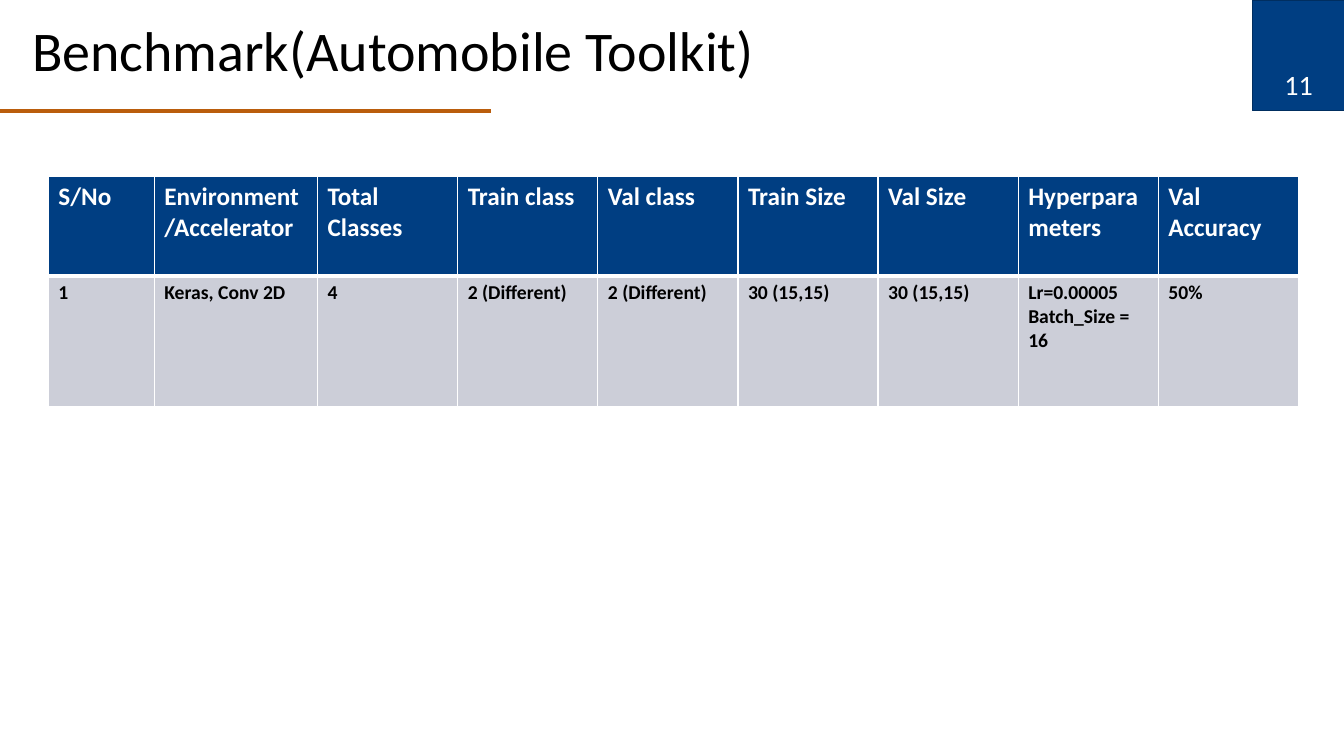
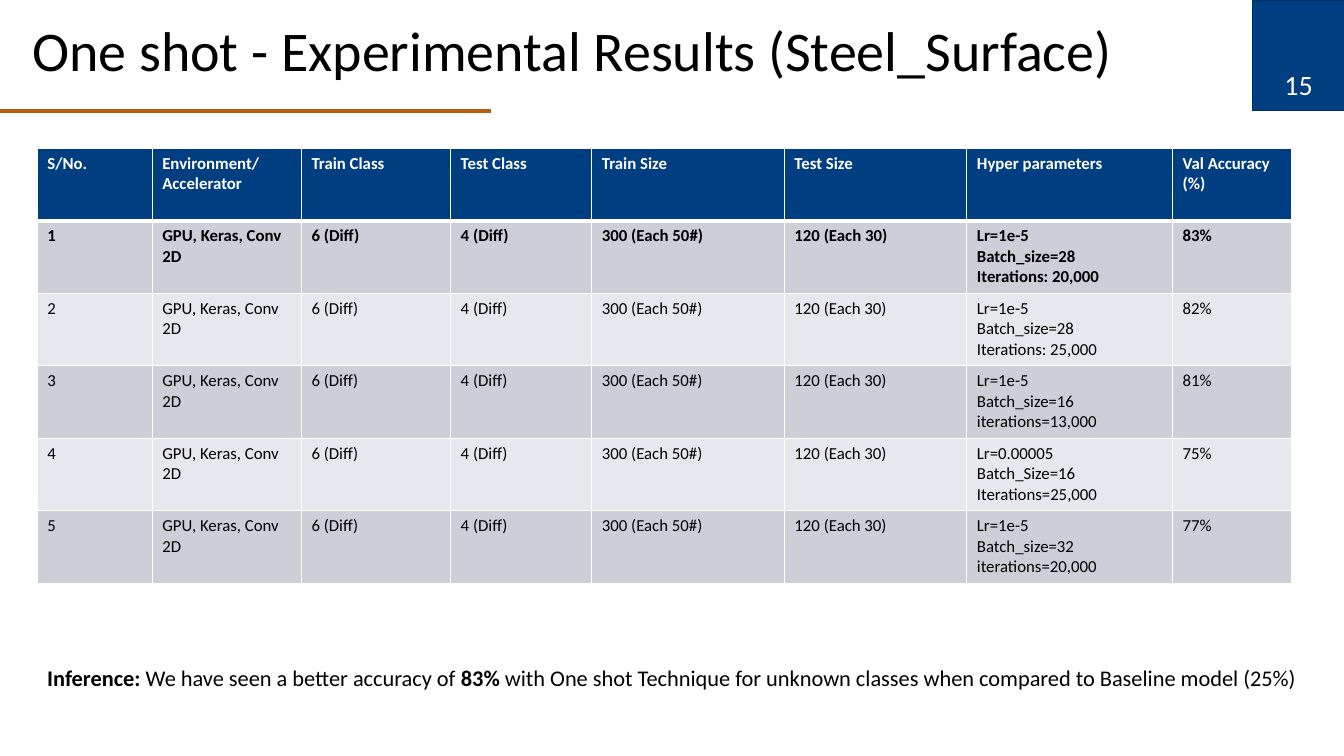
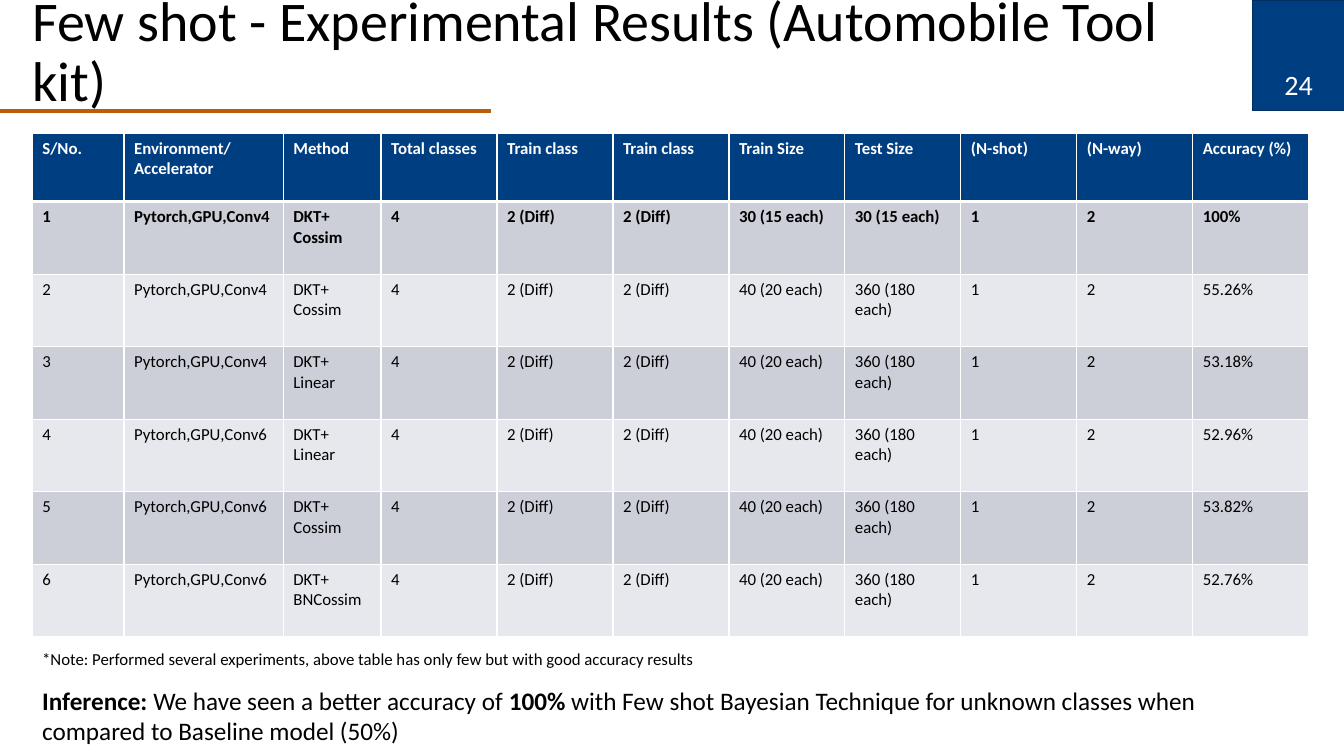
from dataclasses import dataclass
from typing import Any

from lxml.etree import SubElement
from pptx import Presentation
from pptx.dml.color import RGBColor
from pptx.enum.shapes import MSO_CONNECTOR as Connector, MSO_SHAPE as Preset
from pptx.enum.text import MSO_ANCHOR as Anchor, MSO_AUTO_SIZE as AutoSize, PP_ALIGN as Align
from pptx.oxml.ns import qn
from pptx.util import Inches, Pt

NAVY, NAVY_EDGE, ORANGE = "003E82", "002E60", "BA5D0C"
WHITE, BLACK = "FFFFFF", "000000"
BANDS = ("CCCED8", "E7E8ED")
FONT = "Calibri"


@dataclass(frozen=True)
class Box:
    left: float
    top: float
    width: float
    height: float

    def lengths(self) -> tuple:
        return tuple(Inches(value) for value in (self.left, self.top, self.width, self.height))


@dataclass(frozen=True)
class ResultTable:
    left: float
    top: float
    columns: list[float]
    heights: list[float]
    rows: list[list[str]]
    header_size: int = 12
    body_size: int = 12


@dataclass(frozen=True)
class Note:
    box: Box
    size: int
    runs: list[tuple[str, bool]]


@dataclass(frozen=True)
class ResultSlide:
    title: str
    number: str
    table: ResultTable
    notes: list[Note]


TITLE_BOX = Box(0.22, 0, 12.19, 1.06)
CORNER_BOX = Box(12.42, 0, 0.92, 1.1)
NUMBER_BOX = Box(12.42, 0.57, 0.92, 0.53)


def colour(value: str) -> RGBColor:
    return RGBColor.from_string(value)


def apply(target: Any, formats: dict[str, Any]) -> None:
    for name, value in formats.items():
        setattr(target, name, value)


def format_font(font: Any, size: int, value: str, bold: bool = False) -> None:
    apply(font, {"name": FONT, "size": Pt(size), "bold": bold})
    font.color.rgb = colour(value)


def paint(fill: Any, value: str) -> None:
    fill.solid()
    fill.fore_color.rgb = colour(value)


def add_title(slide: Any, text: str) -> None:
    title = slide.shapes.title
    apply(title, dict(zip(("left", "top", "width", "height"), TITLE_BOX.lengths())))
    frame = title.text_frame
    frame.text = text
    apply(frame, {"vertical_anchor": Anchor.MIDDLE, "auto_size": AutoSize.NONE, "word_wrap": True})
    paragraph = frame.paragraphs[0]
    apply(paragraph, {"alignment": Align.LEFT, "line_spacing": 0.9})
    format_font(paragraph.runs[0].font, 40, BLACK)


def add_frame(slide: Any, number: str) -> None:
    rule = slide.shapes.add_connector(
        Connector.STRAIGHT, Inches(0), Inches(1.1), Inches(4.87), Inches(1.1))
    rule.line.color.rgb = colour(ORANGE)
    rule.line.width = Pt(3)
    SubElement(rule.element.spPr, qn("a:effectLst"))

    corner = slide.shapes.add_shape(Preset.RECTANGLE, *CORNER_BOX.lengths())
    corner.shadow.inherit = False
    paint(corner.fill, NAVY)
    corner.line.color.rgb = colour(NAVY_EDGE)
    corner.line.width = Pt(1)

    frame = slide.shapes.add_textbox(*NUMBER_BOX.lengths()).text_frame
    frame.text = number
    apply(frame, {"vertical_anchor": Anchor.MIDDLE, "word_wrap": True})
    frame.paragraphs[0].alignment = Align.CENTER
    format_font(frame.paragraphs[0].runs[0].font, 20, WHITE)


def add_borders(cell: Any, top: int, bottom: int) -> None:
    properties = cell._tc.get_or_add_tcPr()
    for index, (side, points) in enumerate(
            {"lnL": 1, "lnR": 1, "lnT": top, "lnB": bottom}.items()):
        line = SubElement(properties, qn(f"a:{side}"), w=str(Pt(points)))
        SubElement(SubElement(line, qn("a:solidFill")), qn("a:srgbClr"), val=WHITE)
        properties.insert(index, line)


def add_results(slide: Any, results: ResultTable) -> None:
    box = Box(results.left, results.top, sum(results.columns), sum(results.heights))
    table = slide.shapes.add_table(
        len(results.rows), len(results.columns), *box.lengths()).table
    table.horz_banding = False
    for column, width in zip(table.columns, results.columns):
        column.width = Inches(width)
    for row, height in zip(table.rows, results.heights):
        row.height = Inches(height)
    for index, values in enumerate(results.rows):
        header = index == 0
        fill = NAVY if header else BANDS[(index - 1) % 2]
        size = results.header_size if header else results.body_size
        for position, text in enumerate(values):
            cell = table.cell(index, position)
            cell.text = text
            paint(cell.fill, fill)
            add_borders(cell, 3 if index == 1 else 1, 3 if header else 1)
            for paragraph in cell.text_frame.paragraphs:
                format_font(paragraph.runs[0].font, size, WHITE if header else BLACK, index <= 1)


def add_note(slide: Any, note: Note) -> None:
    frame = slide.shapes.add_textbox(*note.box.lengths()).text_frame
    apply(frame, {"word_wrap": True, "auto_size": AutoSize.SHAPE_TO_FIT_TEXT})
    for text, bold in note.runs:
        run = frame.paragraphs[0].add_run()
        run.text = text
        format_font(run.font, note.size, BLACK, bold)


def inference(accuracy: str, comparison: str) -> list[tuple[str, bool]]:
    return [("Inference: ", True), ("We have seen a better accuracy of ", False),
            (f"{accuracy} ", True), (comparison, False)]


BENCHMARK = ResultTable(
    0.48, 1.75, [1.05, 1.62] + [1.39] * 7, [0.99, 1.29],
    [["S/No", "Environment/Accelerator", "Total Classes", "Train class", "Val class",
      "Train Size", "Val Size", "Hyperparameters", "Val Accuracy"],
     ["1", "Keras, Conv 2D", "4", "2 (Different)", "2 (Different)",
      "30 (15,15)", "30 (15,15)", "Lr=0.00005\nBatch_Size = 16", "50%"]],
    header_size=18, body_size=14)

ONE_SHOT_RUNS = [
    ("Lr=1e-5\nBatch_size=28\nIterations: 20,000", "83%"),
    ("Lr=1e-5\nBatch_size=28\nIterations: 25,000", "82%"),
    ("Lr=1e-5\nBatch_size=16\niterations=13,000", "81%"),
    ("Lr=0.00005\nBatch_Size=16\nIterations=25,000", "75%"),
    ("Lr=1e-5\nBatch_size=32\niterations=20,000", "77%"),
]
ONE_SHOT = ResultTable(
    0.37, 1.47, [1.14, 1.48, 1.48, 1.4, 1.91, 1.81, 2.04, 1.18], [0.72] * 6,
    [["S/No.", "Environment/Accelerator", "Train Class", "Test Class", "Train Size",
      "Test Size", "Hyper parameters", "Val Accuracy (%)"]]
    + [[str(serial), "GPU, Keras, Conv 2D", "6 (Diff)", "4 (Diff)", "300 (Each 50#)",
        "120 (Each 30)", settings, accuracy]
       for serial, (settings, accuracy) in enumerate(ONE_SHOT_RUNS, 1)])

SMALL_SET = ("30 (15 each)", "30 (15 each)")
LARGE_SET = ("40 (20 each)", "360 (180 each)")
FEW_SHOT_RUNS = [
    ("Conv4", "Cossim", SMALL_SET, "100%"),
    ("Conv4", "Cossim", LARGE_SET, "55.26%"),
    ("Conv4", "Linear", LARGE_SET, "53.18%"),
    ("Conv6", "Linear", LARGE_SET, "52.96%"),
    ("Conv6", "Cossim", LARGE_SET, "53.82%"),
    ("Conv6", "BNCossim", LARGE_SET, "52.76%"),
]
FEW_SHOT = ResultTable(
    0.32, 1.32, [0.91, 1.58, 0.97] + [1.15] * 8, [0.68] + [0.72] * 6,
    [["S/No.", "Environment/Accelerator", "Method", "Total classes", "Train class",
      "Train class", "Train Size", "Test Size", "(N-shot)", "(N-way)", "Accuracy (%)"]]
    + [[str(serial), f"Pytorch,GPU,{network}", f"DKT+\n{kernel}", "4", "2 (Diff)", "2 (Diff)",
        *sizes, "1", "2", accuracy]
       for serial, (network, kernel, sizes, accuracy) in enumerate(FEW_SHOT_RUNS, 1)])

SLIDES = [
    ResultSlide("Benchmark(Automobile Toolkit)", "11", BENCHMARK, []),
    ResultSlide("One shot - Experimental Results (Steel_Surface)", "15", ONE_SHOT, [
        Note(Box(0.37, 6.54, 12.64, 0.37), 16, inference(
            "83%", "with One shot Technique for unknown classes "
            "when compared to Baseline model (25%)"))]),
    ResultSlide("Few shot - Experimental Results (Automobile Tool kit)", "24", FEW_SHOT, [
        Note(Box(0.32, 6.75, 12.64, 0.71), 18, inference(
            "100%", "with Few shot Bayesian Technique for unknown classes "
            "when compared to Baseline model (50%)")),
        Note(Box(0.32, 6.39, 10.17, 0.3), 12, [
            ("*Note: Performed several experiments, above table has only few "
             "but with good accuracy results", False)])]),
]


def main() -> None:
    presentation = Presentation()
    apply(presentation, {"slide_width": Inches(13.33), "slide_height": Inches(7.5)})
    for content in SLIDES:
        slide = presentation.slides.add_slide(presentation.slide_layouts[5])
        add_title(slide, content.title)
        add_frame(slide, content.number)
        add_results(slide, content.table)
        for note in content.notes:
            add_note(slide, note)
    presentation.save("out.pptx")


main()
